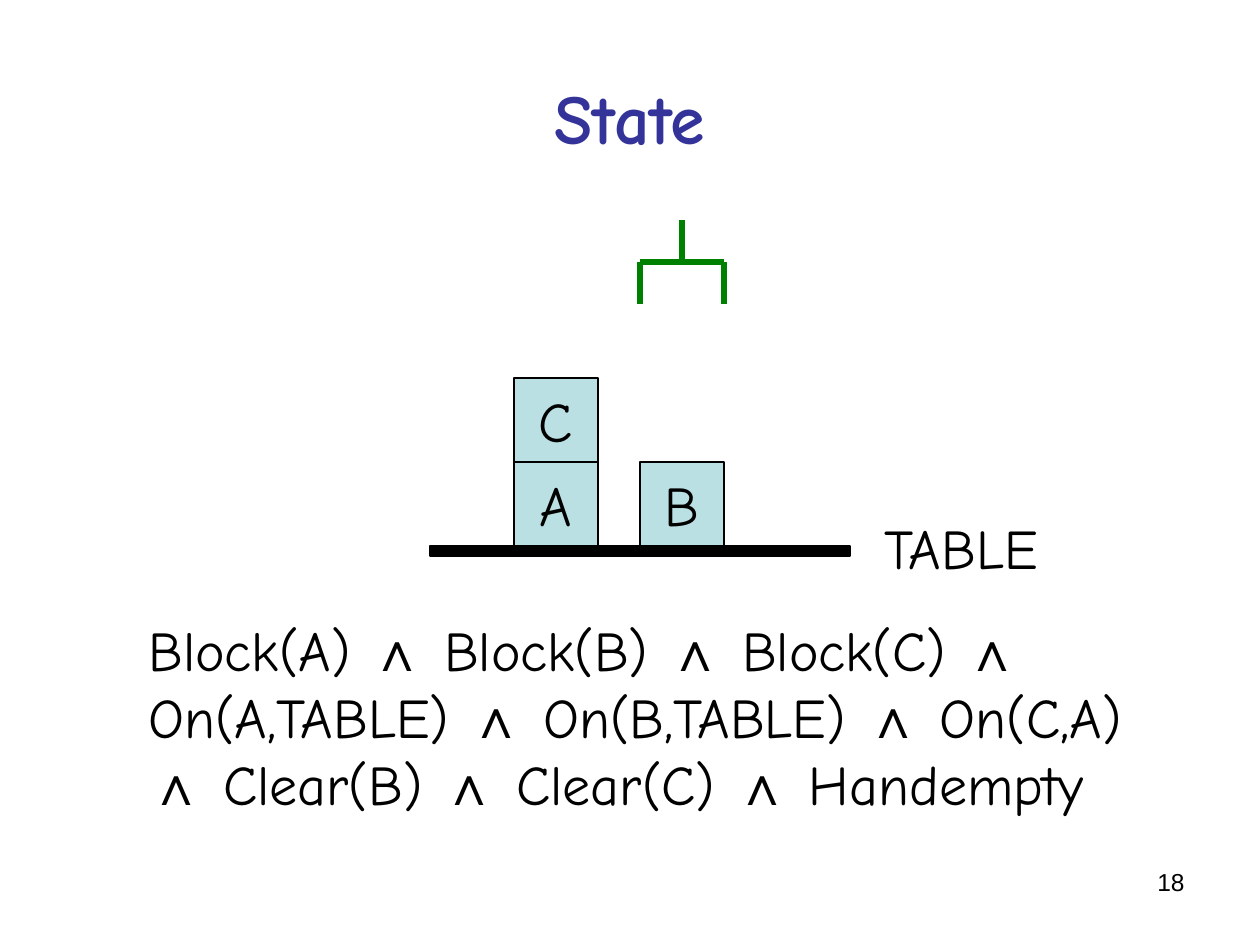
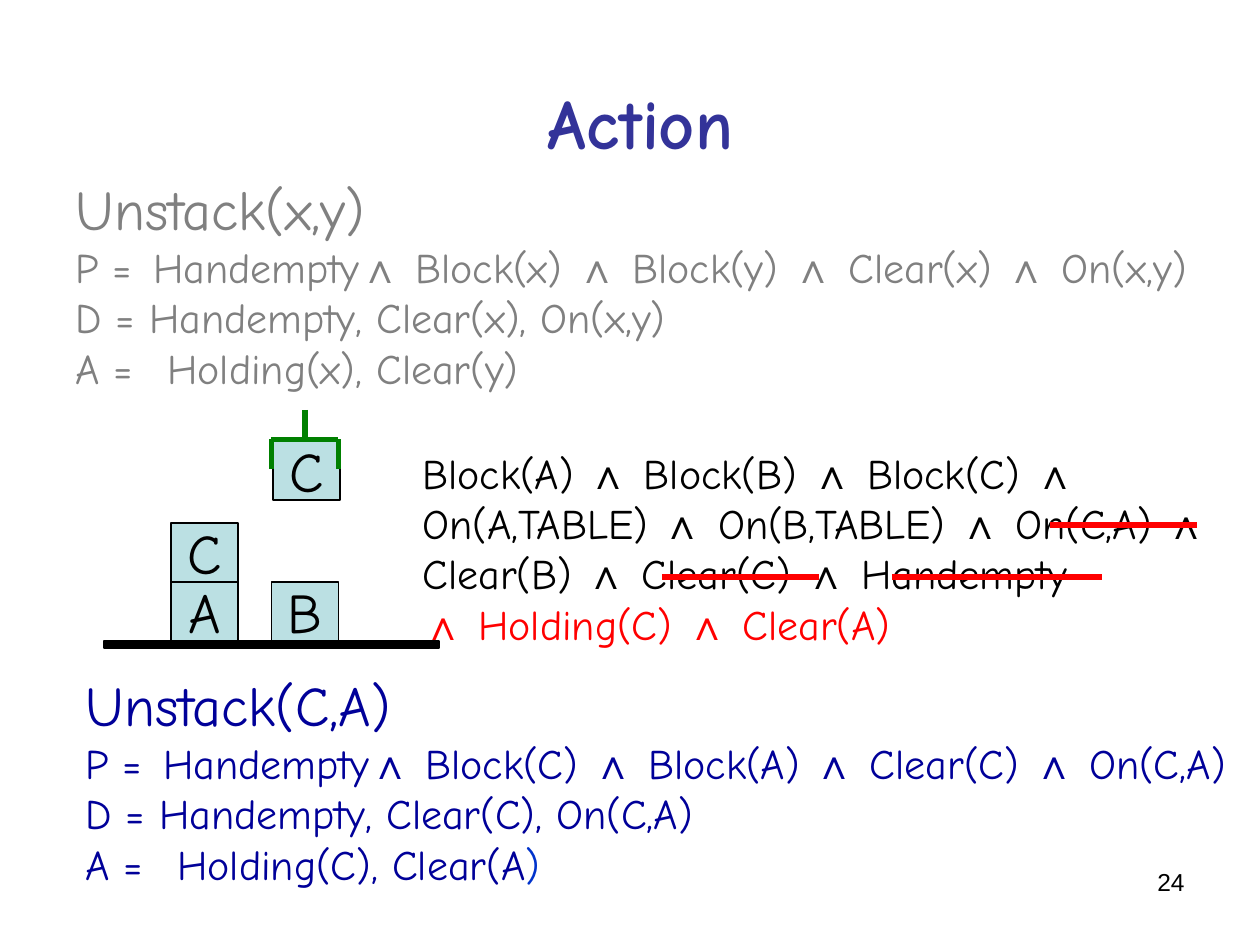
from itertools import groupby

from lxml.etree import SubElement
from pptx import Presentation
from pptx.dml.color import RGBColor
from pptx.enum.shapes import MSO_CONNECTOR, MSO_SHAPE
from pptx.enum.text import MSO_ANCHOR, PP_ALIGN
from pptx.oxml.ns import qn
from pptx.util import Emu, Pt

PX_PER_INCH = 126
EMU_PER_INCH = 914400
TITLE_ONLY = 5
BODY_FONT = "Comic Neue"
PLAIN_FONT = "Arial"
AND = "∧"
OPERATOR_TAB = 78
COLORS = {
    "title": "333399",
    "text": "000000",
    "block": "BBE0E3",
    "gripper": "008000",
    "change": "FF0000",
    "schema": "808080",
    "instance": "000099",
    "closing": "0033CC",
}
STATE_START = "Block(A) ∧ Block(B) ∧ Block(C) ∧ On(A,TABLE) ∧ On(B,TABLE) ∧ On(C,A) ∧ Clear(B) "
STATE_END = "∧ Clear(C) ∧ Handempty"


def px(length):
    return Emu(round(length * EMU_PER_INCH / PX_PER_INCH))


def rgb(name):
    return RGBColor.from_string(COLORS[name])


def set_font(font, size, color, name=BODY_FONT, bold=False):
    font.size = Pt(size)
    font.color.rgb = rgb(color)
    font.name = name
    font.bold = bold


def add_title(page, text, left, top, width):
    title = page.shapes.title
    title.left, title.top, title.width, title.height = px(left), px(top), px(width), px(158)
    frame = title.text_frame
    frame.text = text
    frame.vertical_anchor = MSO_ANCHOR.MIDDLE
    para = frame.paragraphs[0]
    para.alignment = PP_ALIGN.CENTER
    set_font(para.font, 40, "title", bold=True)


def add_box(page, left, top, width, height, wrap=True):
    box = page.shapes.add_textbox(px(left), px(top), px(width), px(height))
    box.text_frame.word_wrap = wrap
    return box.text_frame


def add_page_number(page, number):
    para = add_box(page, 903, 861, 294, 65).paragraphs[0]
    para.text = number
    para.alignment = PP_ALIGN.RIGHT
    set_font(para.font, 14, "text", PLAIN_FONT)


def add_formula(para, text, size, color, bold_and=True):
    for is_and, letters in groupby(text, lambda letter: letter == AND):
        span = para.add_run()
        span.text = "".join(letters)
        set_font(span.font, size, color, PLAIN_FONT if is_and else BODY_FONT, is_and and bold_and)


def add_state(frame, size):
    para = frame.paragraphs[0]
    add_formula(para, STATE_START, size, "text")
    add_formula(para, STATE_END, size, "text", bold_and=False)


def add_tab(para, position):
    tabs = SubElement(para._p.get_or_add_pPr(), qn("a:tabLst"))
    SubElement(tabs, qn("a:tab"), pos=str(px(position)), algn="l")


def add_operator(page, left, top, width, x, y, color):
    frame = add_box(page, left, top, width, 232)
    heading = frame.paragraphs[0]
    heading.text = f"Unstack({x},{y})"
    set_font(heading.font, 32, color)
    lines = [
        f"P = \tHandempty∧ Block({x}) ∧ Block({y}) ∧ Clear({x}) ∧ On({x},{y})",
        f"D = Handempty, Clear({x}), On({x},{y})",
        f"A = \t Holding({x}), Clear({y})",
    ]
    for line in lines:
        para = frame.add_paragraph()
        add_tab(para, OPERATOR_TAB)
        add_formula(para, line, 24, color)
    return frame


def add_rect(page, left, top, width, height, fill):
    rect = page.shapes.add_shape(MSO_SHAPE.RECTANGLE, px(left), px(top), px(width), px(height))
    rect.shadow.inherit = False
    rect.fill.solid()
    rect.fill.fore_color.rgb = rgb(fill)
    rect.line.color.rgb = rgb("text")
    rect.line.width = Pt(0.75)
    return rect


def add_block(page, label, left, top, width, height):
    frame = add_rect(page, left, top, width, height, "block").text_frame
    frame.word_wrap = False
    frame.vertical_anchor = MSO_ANCHOR.MIDDLE
    para = frame.paragraphs[0]
    para.text = label
    para.alignment = PP_ALIGN.CENTER
    set_font(para.font, 32, "text")


def add_line(page, start, end, color):
    line = page.shapes.add_connector(MSO_CONNECTOR.STRAIGHT, *map(px, start + end))
    line.line.color.rgb = rgb(color)
    line.line.width = Pt(3)
    SubElement(line._element.spPr, qn("a:effectLst"))


def add_gripper(page, left, top, width, reach):
    right, middle = left + width, left + width / 2
    bar, tip = top + reach, top + 2 * reach
    add_line(page, (left, bar), (right, bar), "gripper")
    add_line(page, (middle, top), (middle, bar), "gripper")
    for side in (left, right):
        add_line(page, (side, bar), (side, tip), "gripper")


def add_blocks_world(page, left, table_top, gripper_top, width, height):
    stack, single = left + width, left + 2.5 * width
    add_rect(page, left, table_top, 5 * width, height // 8, "text")
    add_block(page, "A", stack, table_top - height, width, height)
    add_block(page, "B", single, table_top - height, width, height)
    add_block(page, "C", stack, table_top - 2 * height, width, height)
    add_gripper(page, single, gripper_top, width, height / 2)


def build_state(page):
    add_title(page, "State", 63, 38, 1134)
    add_page_number(page, "18")
    add_state(add_box(page, 136, 609, 1071, 214), 32)
    add_blocks_world(page, 430, 546, 220, 84, 84)
    label = add_box(page, 872, 507, 184, 81, wrap=False).paragraphs[0]
    label.text = "TABLE"
    set_font(label.font, 32, "text")


def build_action(page):
    add_title(page, "Action", 84, 42, 1113)
    add_page_number(page, "24")
    add_operator(page, 63, 168, 1155, "x", "y", "schema")
    result = add_box(page, 410, 441, 819, 214)
    add_state(result, 24)
    add_formula(result.add_paragraph(), "∧ Holding(C) ∧ Clear(A)", 24, "change")
    instance = add_operator(page, 73, 664, 1187, "C", "A", "instance")
    last_span = instance.paragraphs[-1].runs[-1]
    last_span.text = last_span.text[:-1]
    add_formula(instance.paragraphs[-1], ")", 24, "closing")
    for left, right, height in ((892, 1102, 577), (662, 819, 577), (1050, 1197, 525)):
        add_line(page, (left, height), (right, height), "change")
    add_block(page, "C", 273, 441, 67, 59)
    add_blocks_world(page, 104, 641, 410, 67, 59)


def main():
    deck = Presentation()
    deck.slide_width, deck.slide_height = px(1260), px(945)
    for build in (build_state, build_action):
        build(deck.slides.add_slide(deck.slide_layouts[TITLE_ONLY]))
    deck.save("out.pptx")


if __name__ == "__main__":
    main()
